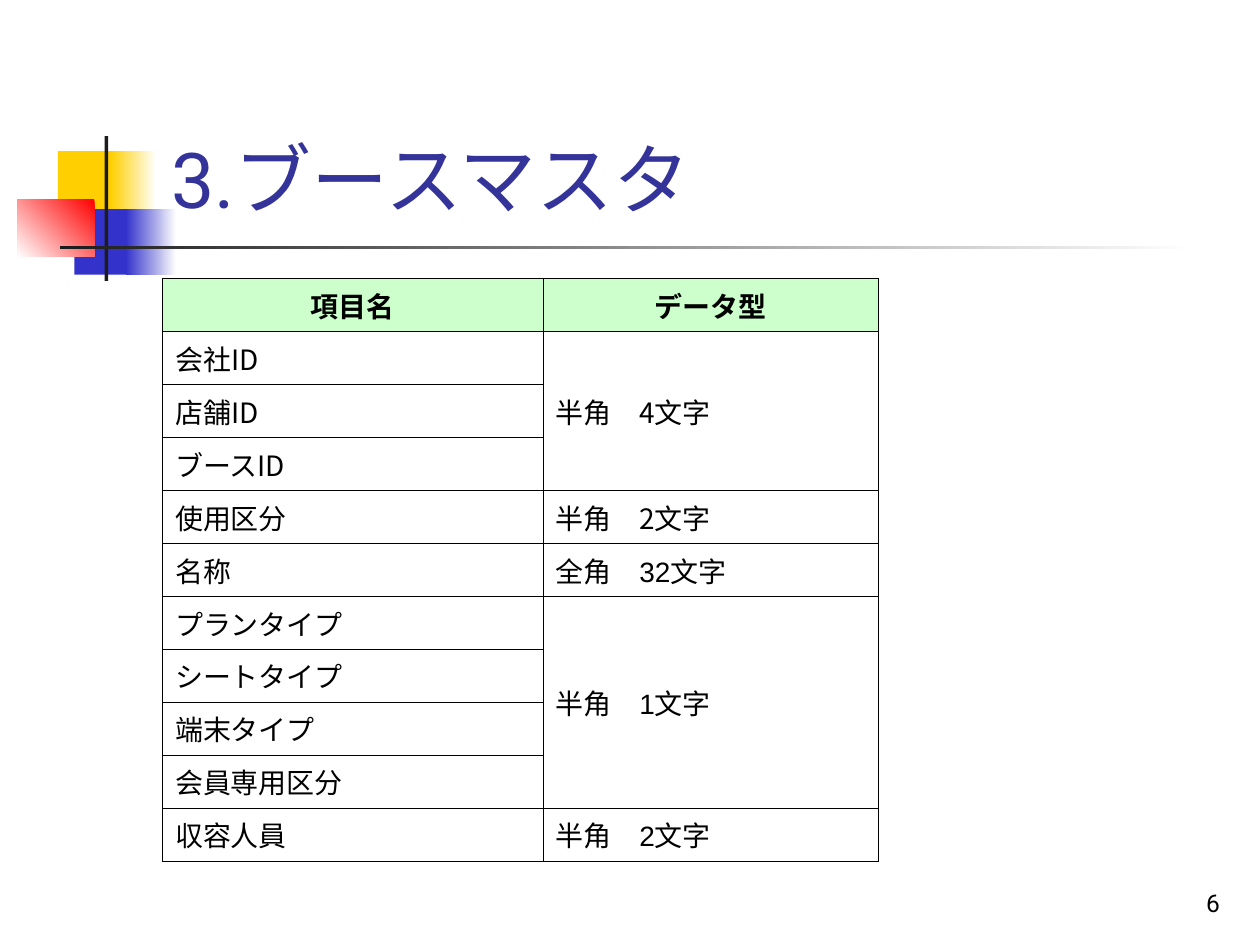
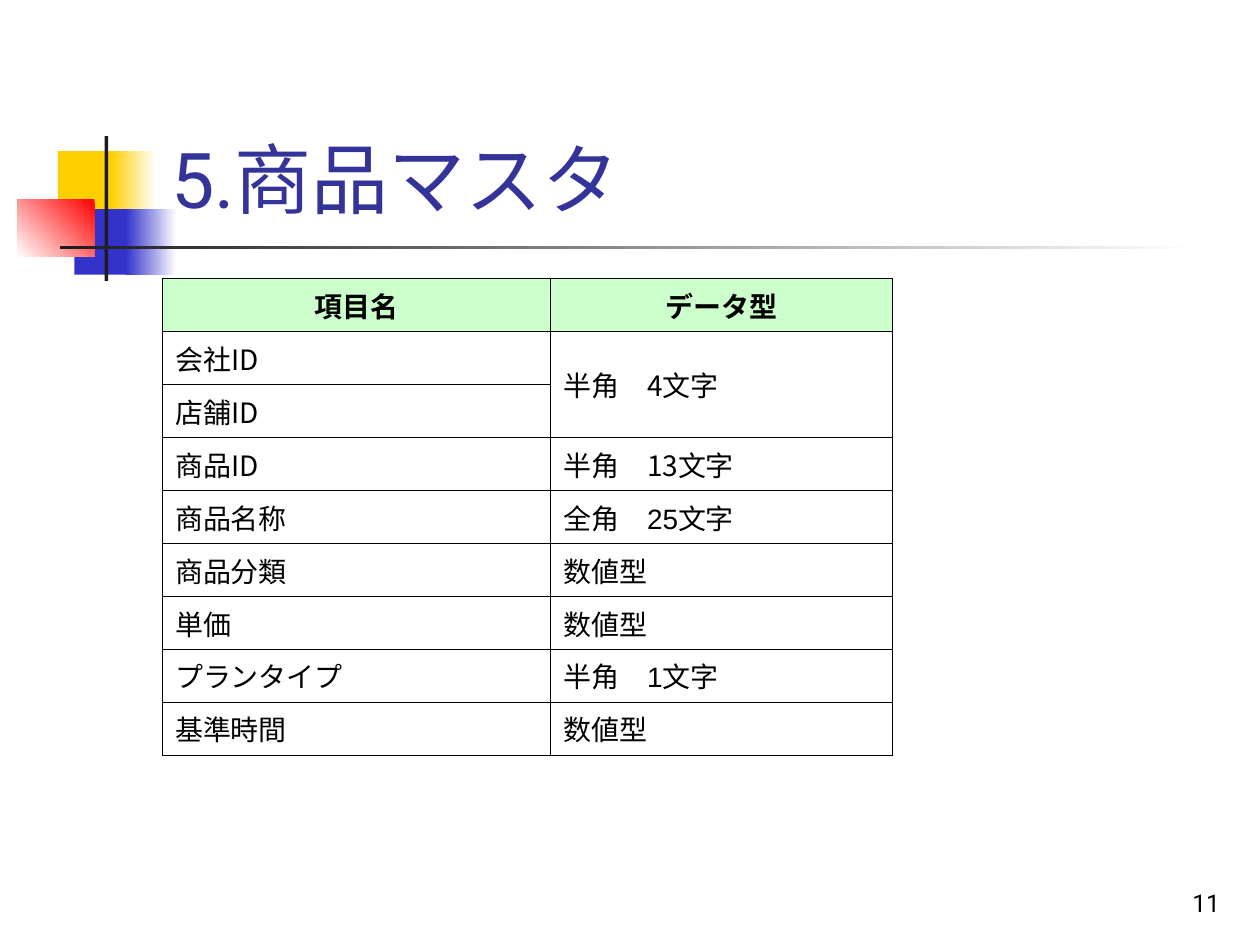
from dataclasses import dataclass

from lxml.etree import SubElement
from pptx import Presentation
from pptx.dml.color import RGBColor as RGB
from pptx.enum.shapes import MSO_SHAPE as SHAPE
from pptx.enum.text import MSO_ANCHOR as ANCHOR, MSO_AUTO_SIZE as FIT, PP_ALIGN as ALIGN
from pptx.oxml.ns import qn
from pptx.util import Inches, Pt


@dataclass(frozen=True)
class Theme:
    """Colours, fonts and type sizes shared by the slides."""
    title: str = "333399"
    text: str = "000000"
    white: str = "FFFFFF"
    header: str = "CCFFCC"
    yellow: str = "FFCF01"
    blue: str = "3333CC"
    red: str = "FF0000"
    ink: str = "1C1C1C"
    latin: str = "Roboto"
    japanese: str = "Noto Sans CJK JP"
    cell_latin: str = "Arial"
    title_size: int = 44
    cell_size: int = 16
    number_size: int = 14
    border: float = 0.45


T = Theme()
JP, AR = T.japanese, T.cell_latin
HEADER = ("項目名", "データ型")

# Each group: item names that share one data type, the type, its font
SLIDES = [
    dict(title="3.ブースマスタ", number="6", cols=(3.02, 2.66), height=4.5, groups=[
        (["会社ID", "店舗ID", "ブースID"], "半角　4文字", JP),
        (["使用区分"], "半角　2文字", JP),
        (["名称"], "全角　32文字", AR),
        (["プランタイプ", "シートタイプ", "端末タイプ", "会員専用区分"], "半角　1文字", AR),
        (["収容人員"], "半角　2文字", AR),
    ]),
    dict(title="5.商品マスタ", number="11", cols=(3.08, 2.71), height=3.3, groups=[
        (["会社ID", "店舗ID"], "半角　4文字", JP),
        (["商品ID"], "半角　13文字", JP),
        (["商品名称"], "全角　25文字", AR),
        (["商品分類"], "数値型", AR),
        (["単価"], "数値型", AR),
        (["プランタイプ"], "半角　1文字", AR),
        (["基準時間"], "数値型", AR),
    ]),
]

# Master decoration: box, colours from first to last stop, clockwise angle
DECOR = [
    ((0.46, 1.2, 0.48, 0.52), (T.yellow,), 0),
    ((0.88, 1.2, 0.36, 0.52), (T.white, T.yellow), 180),
    ((0.59, 1.66, 0.46, 0.52), (T.blue,), 0),
    ((1, 1.66, 0.4, 0.52), (T.white, T.blue), 180),
    ((0.14, 1.58, 0.61, 0.46), (T.red, T.white), 135),
    ((0.83, 1.08, 0.03, 1.15), (T.ink,), 0),
    ((0.48, 1.95, 9, 0.03), (T.white, T.ink), 180),
]
TITLE_BOX = (1.26, 0.23, 8.52, 1.6)
NUMBER_BOX = (7.7, 6.83, 2.08, 0.5)
TABLE_AT = (1.29, 2.21)
INDENT = 0.38


def inches(values):
    """Turn numbers into lengths."""
    return [Inches(v) for v in values]


def write(tf, text, size, color, font, align=ALIGN.LEFT, bold=False):
    """Write one formatted run in the first paragraph and return that paragraph."""
    p = tf.paragraphs[0]
    p.alignment = align
    r = p.add_run()
    r.text = text
    r.font.size, r.font.bold, r.font.name = Pt(size), bold, font
    r.font.color.rgb = RGB.from_string(color)
    SubElement(r.font._element, qn("a:ea"), typeface=T.japanese)
    return p


def decorate_master(prs, slide):
    """Draw the corner blocks and rules, and move them to the back of the master."""
    tree = prs.slide_master.shapes.element
    for i, (box, colors, angle) in enumerate(DECOR):
        sp = slide.shapes.add_shape(SHAPE.RECTANGLE, *inches(box))
        sp.shadow.inherit = False
        sp.line.fill.background()
        if len(colors) == 1:
            sp.fill.solid()
            sp.fill.fore_color.rgb = RGB.from_string(colors[0])
        else:
            sp.fill.gradient()
            sp.fill.gradient_angle = 360 - angle
            for stop, color in zip(sp.fill.gradient_stops, colors):
                stop.color.rgb = RGB.from_string(color)
        sp.element.nvSpPr.cNvPr.id = 100 + i
        tree.insert(2 + i, sp.element)


def add_title(slide, text):
    """Place and fill the title placeholder."""
    sp = slide.shapes.title
    sp.left, sp.top, sp.width, sp.height = inches(TITLE_BOX)
    tf = sp.text_frame
    tf.vertical_anchor, tf.word_wrap, tf.auto_size = ANCHOR.BOTTOM, True, FIT.NONE
    write(tf, text, T.title_size, T.title, T.latin)


def add_number(slide, text):
    """Add the page number at the bottom right."""
    tf = slide.shapes.add_textbox(*inches(NUMBER_BOX)).text_frame
    tf.vertical_anchor, tf.word_wrap = ANCHOR.BOTTOM, True
    write(tf, text, T.number_size, T.text, T.latin, ALIGN.RIGHT)


def style_cell(cell, header):
    """Give a cell its borders, fill and anchor."""
    tc_pr = cell._tc.get_or_add_tcPr()
    for side in "LRTB":
        ln = SubElement(tc_pr, qn(f"a:ln{side}"), w=str(Pt(T.border)))
        SubElement(SubElement(ln, qn("a:solidFill")), qn("a:srgbClr"), val=T.text)
    if header:
        cell.fill.solid()
        cell.fill.fore_color.rgb = RGB.from_string(T.header)
    else:
        cell.fill.background()
    cell.vertical_anchor = ANCHOR.MIDDLE


def fill_cell(cell, text, font=JP, header=False):
    """Write a cell's text with a hanging indent."""
    align = ALIGN.CENTER if header else ALIGN.LEFT
    p = write(cell.text_frame, text, T.cell_size, T.text, font, align, header)
    p_pr = p._p.get_or_add_pPr()
    p_pr.set("marL", str(Inches(INDENT)))
    p_pr.set("indent", str(Inches(-INDENT)))


def add_field_table(slide, cols, height, groups):
    """Add the table, with one merged type cell per group of items."""
    rows = 1 + sum(len(names) for names, _, _ in groups)
    table = slide.shapes.add_table(
        rows, len(cols), *inches((*TABLE_AT, sum(cols), height))).table
    table.first_row = table.horz_banding = False
    for col, width in zip(table.columns, cols):
        col.width = Inches(width)
    for i, row in enumerate(table.rows):
        for cell in row.cells:
            style_cell(cell, header=i == 0)
    for c, text in enumerate(HEADER):
        fill_cell(table.cell(0, c), text, header=True)
    top = 1
    for names, kind, font in groups:
        for i, name in enumerate(names):
            fill_cell(table.cell(top + i, 0), name)
        fill_cell(table.cell(top, 1), kind, font)
        if len(names) > 1:
            table.cell(top, 1).merge(table.cell(top + len(names) - 1, 1))
        top += len(names)


def main():
    """Build and save the presentation."""
    prs = Presentation()
    prs.slide_width, prs.slide_height = inches((10, 7.5))
    for i, page in enumerate(SLIDES):
        slide = prs.slides.add_slide(prs.slide_layouts[5])
        if i == 0:
            decorate_master(prs, slide)
        add_title(slide, page["title"])
        add_field_table(slide, page["cols"], page["height"], page["groups"])
        add_number(slide, page["number"])
    prs.save("out.pptx")


main()
